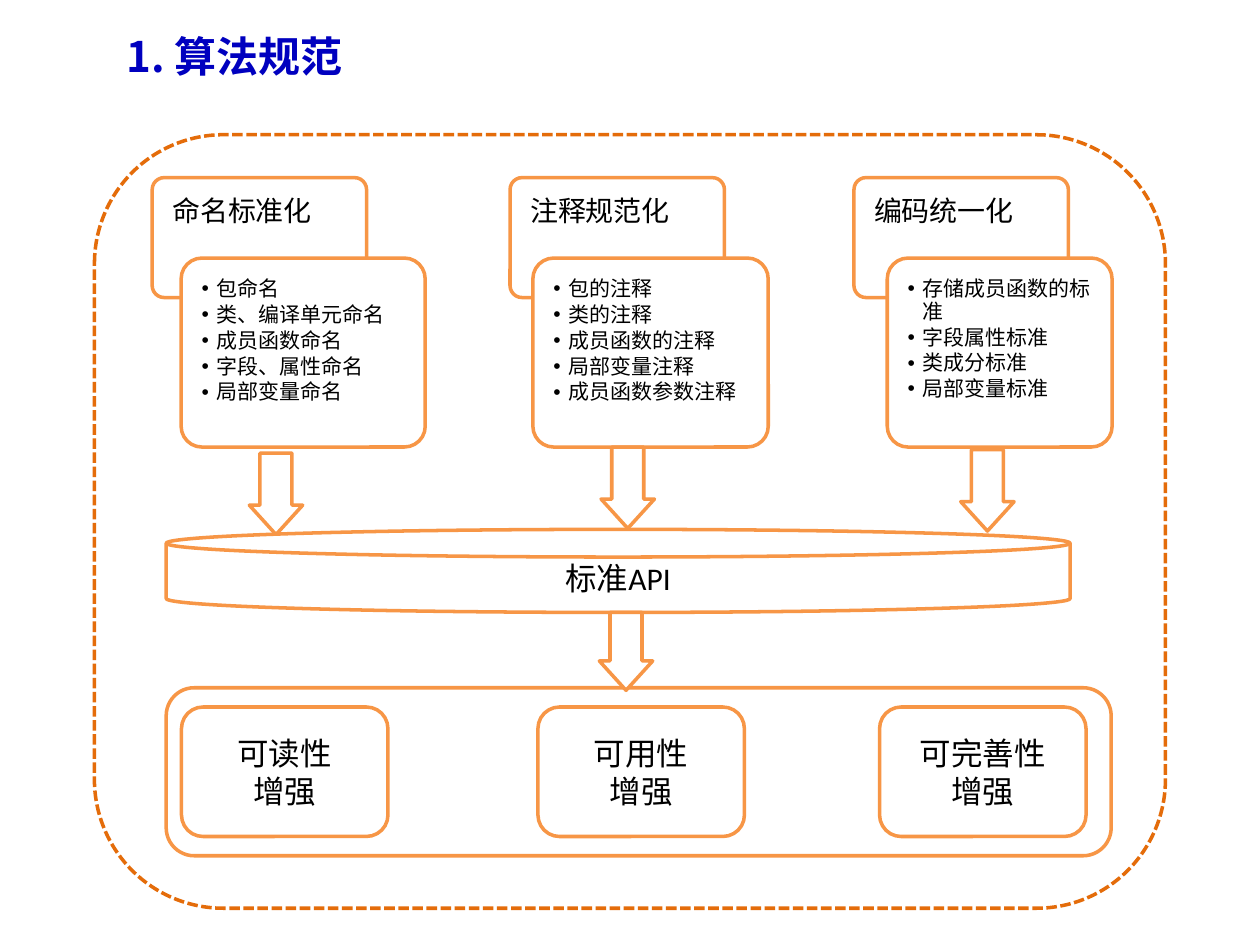
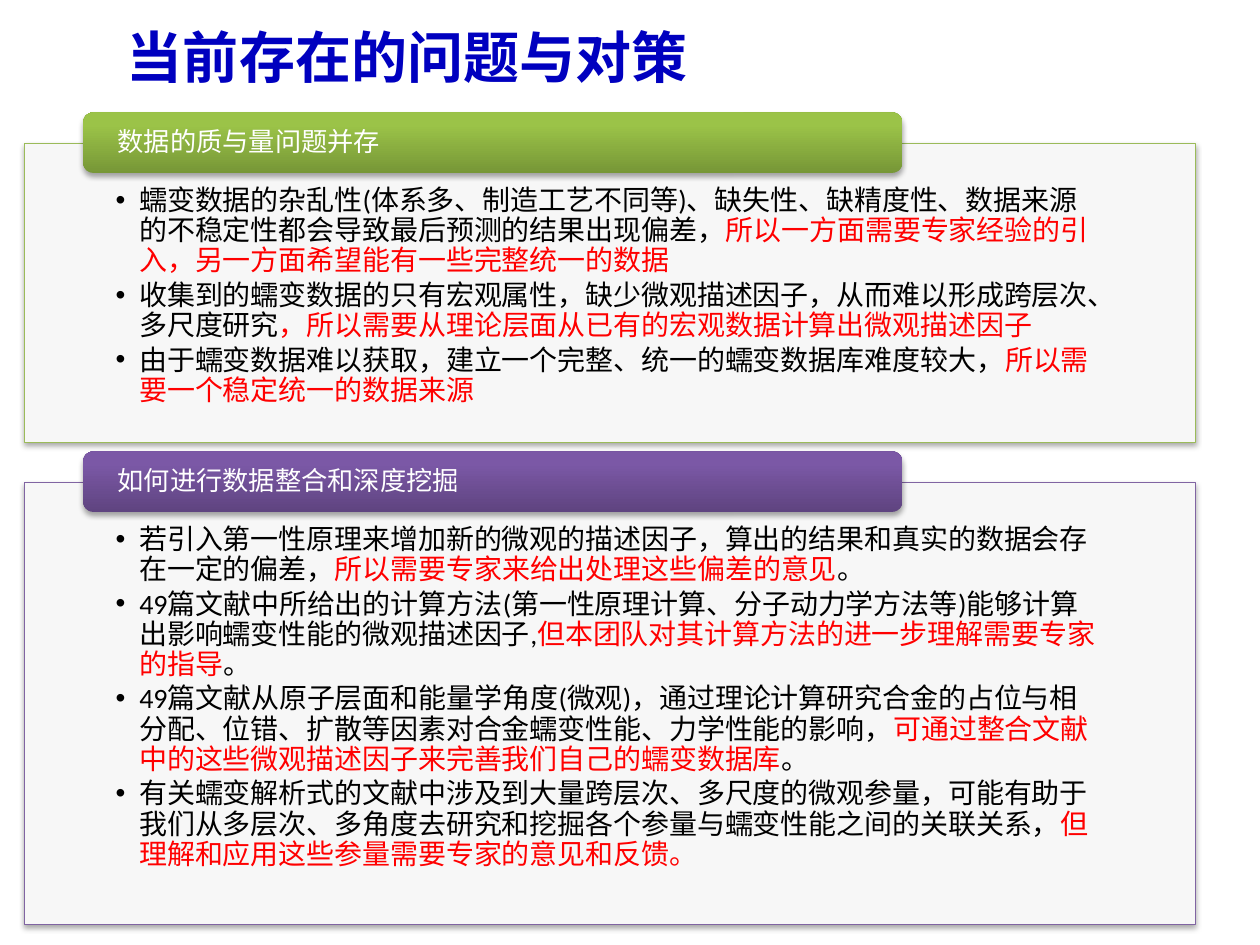
from lxml.etree import SubElement
from pptx import Presentation
from pptx.dml.color import RGBColor
from pptx.enum.dml import MSO_LINE
from pptx.enum.shapes import MSO_SHAPE
from pptx.enum.text import MSO_ANCHOR, PP_ALIGN
from pptx.oxml.ns import qn
from pptx.util import Pt

# Content
RULES = [
    ("命名标准化", ["包命名", "类、编译单元命名", "成员函数命名", "字段、属性命名", "局部变量命名"]),
    ("注释规范化", ["包的注释", "类的注释", "成员函数的注释", "局部变量注释", "成员函数参数注释"]),
    ("编码统一化", ["存储成员函数的标准", "字段属性标准", "类成分标准", "局部变量标准"]),
]
GAINS = ["可读性", "可用性", "可完善性"]

# Each point alternates black and red text
ISSUES = [
    ("数据的质与量问题并存", "green", [
        ("蠕变数据的杂乱性(体系多、制造工艺不同等)、缺失性、缺精度性、数据来源的不稳定性都会导致最后预测的结果出现偏差，",
         "所以一方面需要专家经验的引入，另一方面希望能有一些完整统一的数据"),
        ("收集到的蠕变数据的只有宏观属性，缺少微观描述因子，从而难以形成跨层次、多尺度研究",
         "，所以需要从理论层面从已有的宏观数据计算出微观描述因子"),
        ("由于蠕变数据难以获取，建立一个完整、统一的蠕变数据库难度较大，",
         "所以需要一个稳定统一的数据来源"),
    ]),
    ("如何进行数据整合和深度挖掘", "plum", [
        ("若引入第一性原理来增加新的微观的描述因子，算出的结果和真实的数据会存在一定的偏差，",
         "所以需要专家来给出处理这些偏差的意见", "。"),
        ("49篇文献中所给出的计算方法(第一性原理计算、分子动力学方法等)能够计算出影响蠕变性能的微观描述因子,",
         "但本团队对其计算方法的进一步理解需要专家的指导", "。"),
        ("49篇文献从原子层面和能量学角度(微观)，通过理论计算研究合金的占位与相分配、位错、扩散等因素对合金蠕变性能、力学性能的影响，",
         "可通过整合文献中的这些微观描述因子来完善我们自己的蠕变数据库", "。"),
        ("有关蠕变解析式的文献中涉及到大量跨层次、多尺度的微观参量，可能有助于我们从多层次、多角度去研究和挖掘各个参量与蠕变性能之间的关联关系，",
         "但理解和应用这些参量需要专家的意见和反馈。"),
    ]),
]

# Shared look
HEX = {
    "title": "0000BF", "black": "000000", "red": "FF0000", "white": "FFFFFF",
    "orange": "F79646", "rust": "E46C0A", "panel": "F7F7F7",
    "green": "9BBB59", "green low": "779737", "green top": "9BC348",
    "plum": "8064A2", "plum low": "5F4480", "plum top": "7B58A6",
}
BODY, HEAD = "Calibri", "Noto Sans CJK SC"


def tint(name):
    return RGBColor.from_string(HEX[name])


def style(run, size, color, font=BODY, bold=False):
    run.font.size, run.font.name, run.font.bold = Pt(size), font, bold
    run.font.color.rgb = tint(color)
    SubElement(run._r.get_or_add_rPr(), qn("a:ea"), typeface=font)


def inset(frame, left, top, right, low, anchor):
    frame.word_wrap = True
    frame.margin_left, frame.margin_top = Pt(left), Pt(top)
    frame.margin_right, frame.margin_bottom = Pt(right), Pt(low)
    frame.vertical_anchor = anchor


def write(frame, lines, size, color="black", align=PP_ALIGN.LEFT, dent=0, space=None):
    """Fill a frame; a line is a tuple of runs in turn plain and red."""
    for i, parts in enumerate(lines):
        para = frame.paragraphs[0] if i == 0 else frame.add_paragraph()
        para.alignment = align
        if dent:
            props = para._p.get_or_add_pPr()
            props.set("marL", str(Pt(dent)))
            props.set("indent", str(-Pt(dent)))
            SubElement(props, qn("a:buFont"), typeface="Arial")
            SubElement(props, qn("a:buChar"), char="•")
        if space is not None:
            para.line_spacing, para.space_after = 0.9, Pt(space)
        for j, part in enumerate(parts):
            run = para.add_run()
            run.text = part
            style(run, size, "red" if j % 2 else color)


def draw(slide, kind, box, fill="white", line="orange", width=2, adjust=()):
    shape = slide.shapes.add_shape(kind, *map(Pt, box))
    shape.shadow.inherit = False
    for i, value in enumerate(adjust):
        shape.adjustments[i] = value
    if fill:
        shape.fill.solid()
        shape.fill.fore_color.rgb = tint(fill)
    else:
        shape.fill.background()
    if line:
        shape.line.color.rgb = tint(line)
        shape.line.width = Pt(width)
    else:
        shape.line.fill.background()
    return shape


def shade(shape):
    effect = shape._element.spPr.find(qn("a:effectLst"))
    cast = SubElement(effect, qn("a:outerShdw"), blurRad=str(Pt(3.1)),
                      dist=str(Pt(1.8)), dir="5400000", rotWithShape="0")
    color = SubElement(cast, qn("a:srgbClr"), val=HEX["black"])
    SubElement(color, qn("a:alpha"), val="35000")


def begin(deck, title, size):
    slide = deck.slides.add_slide(deck.slide_layouts[6])
    frame = slide.shapes.add_textbox(Pt(65.5), Pt(0.7), Pt(648), Pt(62.6)).text_frame
    inset(frame, 7.2, 3.6, 7.2, 3.6, MSO_ANCHOR.MIDDLE)
    frame.text = title
    style(frame.paragraphs[0].runs[0], size, "title", HEAD, True)
    return slide


def arrow(slide, left, top, high):
    draw(slide, MSO_SHAPE.DOWN_ARROW, (left, top, 30.5, high), adjust=(0.6, 0.55))


def norms(deck):
    slide = begin(deck, "1. 算法规范", 24)
    top, mid = MSO_ANCHOR.TOP, MSO_ANCHOR.MIDDLE
    round_box, soft_box = MSO_SHAPE.ROUNDED_RECTANGLE, MSO_SHAPE.FLOWCHART_ALTERNATE_PROCESS

    # Rule cards: tab left, card left, card width, arrow left, arrow top
    spots = [(87, 103.5, 139.5, 142.5, 259), (291.5, 304.5, 134.5, 343.5, 255.5),
             (488, 507, 128.5, 549, 257)]
    for (name, items), (tab, card, wide, tip, start) in zip(RULES, spots):
        head = draw(slide, round_box, (tab, 101.5, 122.5, 68.5), adjust=(0.1,))
        inset(head.text_frame, 9.5, 9.5, 9.5, 28, top)
        write(head.text_frame, [(name,)], 16, space=5.6)
        body = draw(slide, round_box, (card, 147.5, wide, 108), adjust=(0.11,))
        inset(body.text_frame, 8.2, 8.2, 8.2, 8.2, top)
        write(body.text_frame, [(item,) for item in items], 12, dent=8.7, space=1.8)
        arrow(slide, tip, start, 46.5)

    # Gains
    draw(slide, soft_box, (95, 393, 540, 96))
    for name, left in zip(GAINS, (103.7, 307.4, 502.6)):
        gain = draw(slide, soft_box, (left, 404, 118, 74))
        inset(gain.text_frame, 7.2, 3.6, 7.2, 3.6, mid)
        write(gain.text_frame, [(name,), ("增强",)], 18, align=PP_ALIGN.CENTER)

    # Standard layer, outer frame and last arrow
    disk = draw(slide, MSO_SHAPE.FLOWCHART_MAGNETIC_DISK, (95, 302.5, 516.5, 47.5))
    inset(disk.text_frame, 7.2, 3.6, 7.2, 3.6, mid)
    write(disk.text_frame, [("标准API",)], 18, align=PP_ALIGN.CENTER)
    edge = draw(slide, round_box, (54, 77, 612, 442), fill=None, line="rust")
    edge.line.dash_style = MSO_LINE.SQUARE_DOT
    arrow(slide, 342.5, 350, 44.5)


def issues(deck):
    slide = begin(deck, "当前存在的问题与对策", 32)
    for (name, hue, points), (top, high) in zip(ISSUES, [(82, 171), (275.7, 252.7)]):
        # Panel
        panel = draw(slide, MSO_SHAPE.RECTANGLE, (14.2, top, 669, high), "panel", hue, 0.75)
        shade(panel)
        inset(panel.text_frame, 51.9, 24.5, 51.9, 8.5, MSO_ANCHOR.TOP)
        write(panel.text_frame, points, 16, dent=13.5, space=2.4)

        # Heading bar
        bar = draw(slide, MSO_SHAPE.ROUNDED_RECTANGLE, (47.6, top - 17.7, 468, 34.5), line=None)
        bar.fill.gradient()
        bar.fill.gradient_angle = 90
        low, peak = bar.fill.gradient_stops
        low.color.rgb, peak.color.rgb = tint(hue + " low"), tint(hue + " top")
        peak.position = 0.8
        shade(bar)
        inset(bar.text_frame, 18, 0, 18, 0, MSO_ANCHOR.MIDDLE)
        write(bar.text_frame, [(name,)], 15, "white", space=5.2)


def main():
    deck = Presentation()
    deck.slide_width, deck.slide_height = Pt(720), Pt(540)
    norms(deck)
    issues(deck)
    deck.save("out.pptx")


if __name__ == "__main__":
    main()
